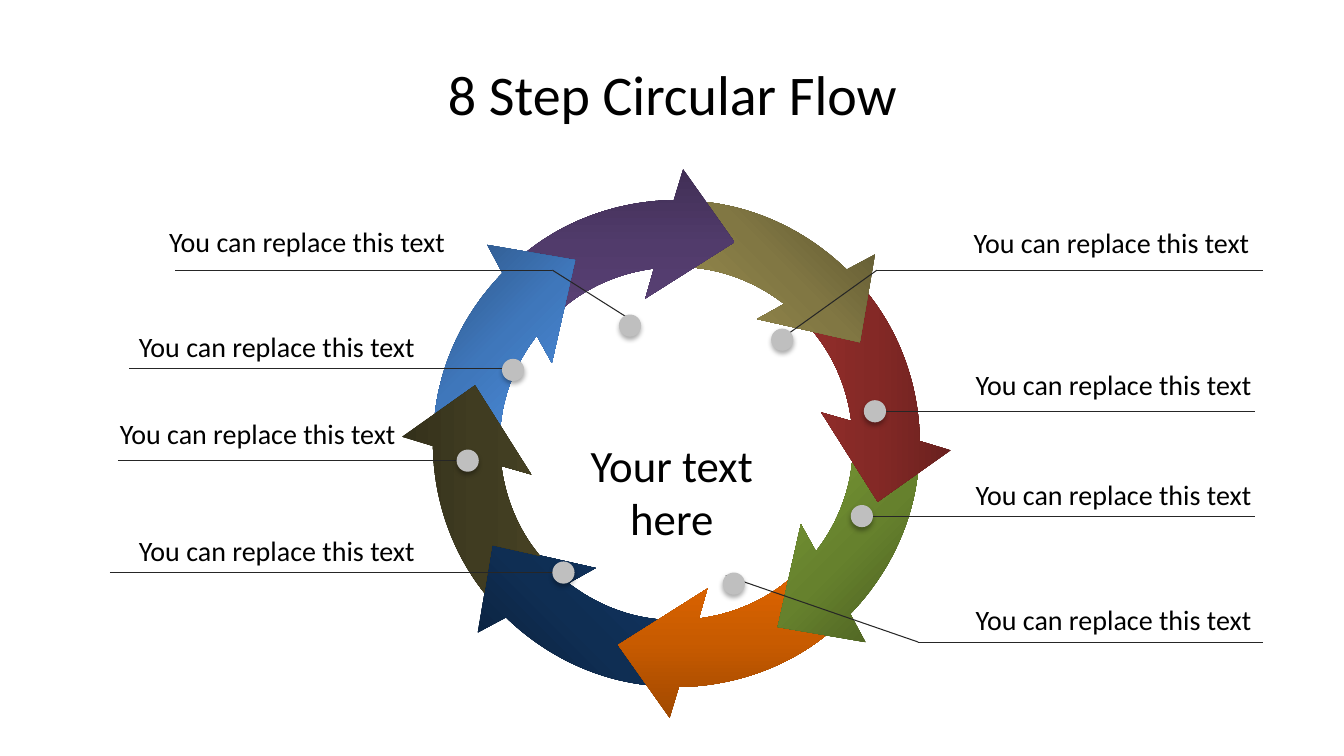
from itertools import pairwise
from math import cos, radians, sin

from lxml import etree
from pptx import Presentation
from pptx import util as u
from pptx.dml.color import RGBColor
from pptx.enum import shapes, text
from pptx.oxml import parse_xml
from pptx.oxml.ns import nsdecls, qn

PX = 9144  # one px is a hundredth of an inch
FONT = "Calibri"
COLORS = {"text": "000000", "line": "262626", "dot": "BFBFBF"}
LABEL = "You can replace this text"
LABEL_SIZE = (297, 44)
DOT = 22

# Rotation and gradient (edge, middle, inner) of each arrow, back to front
ARROWS = [
    (270, ("0B203B", "0F2E53", "123663")),
    (225, ("8D4000", "C85B00", "EE6B00")),
    (180, ("485B20", "66812D", "799936")),
    (135, ("5D1D1B", "842926", "9C302E")),
    (90, ("5A542F", "817743", "998D4F")),
    (45, ("39294B", "513B6B", "60467E")),
    (0, ("2D5484", "3F77BB", "4B8DDE")),
    (315, ("2D2A17", "403C21", "4C4727")),
]
ARROW_SIZE = (139, 180)
ARROW_OFFSET = (-170, -107)  # ring centre to centre of the unrotated arrow
ARROW_OUTLINE = [
    (52, 0), (139, 15), (116, 117), (101, 90),
    (81, 116), (68, 147), (65, 180),  # inner curve
    (39, 139), (0, 167),
    (6, 115), (30, 66), (67, 28),  # outer curve
]
CURVE_STARTS = (4, 9)  # outline index of the first control point of each curve

# Label corner, then leader points and dot corner relative to it
CALLOUTS = [
    ((956, 219), [(-178, 115), (-86, 49), (297, 49)], (-191, 107)),
    ((958, 360), [(-86, 48), (287, 48)], (-101, 37)),
    ((958, 469), [(-101, 43), (287, 43)], (-114, 32)),
    ((958, 593), [(-238, -22), (-47, 44), (295, 44)], (-241, -25)),
    ((128, 524), [(-19, 44), (431, 44)], (420, 33)),
    ((109, 408), [(8, 49), (344, 49)], (344, 38)),
    ((128, 322), [(0, 44), (383, 44)], (370, 34)),
    ((158, 218), [(477, 105), (390, 50), (16, 50)], (456, 94)),
]


def px(*lengths):
    return [u.Emu(round(length * PX)) for length in lengths]


def write(frame, words, size, align=text.PP_ALIGN.LEFT, wrap=True,
          anchor=text.MSO_ANCHOR.TOP):
    frame.word_wrap = wrap
    frame.vertical_anchor = anchor
    paragraph = frame.paragraphs[0]
    paragraph.alignment = align
    run = paragraph.add_run()
    run.text = words
    run.font.name = FONT
    run.font.size = u.Pt(size)
    run.font.color.rgb = RGBColor.from_string(COLORS["text"])


def bend(shape):
    """Turn each run of three control points into one cubic curve."""
    outline = next(shape._element.iter(qn("a:moveTo"))).getparent()
    segments = list(outline)
    for start in CURVE_STARTS:
        curve = etree.Element(qn("a:cubicBezTo"))
        segments[start].addprevious(curve)
        for segment in segments[start:start + 3]:
            curve.append(segment[0])
            outline.remove(segment)


def add_gradient(shape, colors):
    shape.fill.gradient()
    shape.fill.gradient_angle = 315
    stops = shape._element.spPr.find(qn("a:gradFill")).find(qn("a:gsLst"))
    for stop in list(stops):
        stops.remove(stop)
    for position, color in zip((0, 50000, 100000), colors):
        stop = etree.SubElement(stops, qn("a:gs"), pos=str(position))
        etree.SubElement(stop, qn("a:srgbClr"), val=color)


def add_arrow(group, center, rotation, colors):
    width, height = ARROW_SIZE
    left, top = center[0] - width / 2, center[1] - height / 2
    points = [px(left + x, top + y) for x, y in ARROW_OUTLINE]
    builder = group.shapes.build_freeform(*points[0])
    builder.add_line_segments(points[1:], close=True)
    arrow = builder.convert_to_shape()
    bend(arrow)
    arrow.rotation = rotation
    arrow.shadow.inherit = False
    arrow.line.fill.background()
    add_gradient(arrow, colors)


def add_ring(slide, box):
    left, top, width, height = box
    x, y = ARROW_OFFSET
    group = slide.shapes.add_group_shape()
    for rotation, colors in ARROWS:
        c, s = cos(radians(rotation)), sin(radians(rotation))
        center = (left + width / 2 + x * c - y * s,
                  top + height / 2 + x * s + y * c)
        add_arrow(group, center, rotation, colors)


def add_line(group, start, end):
    line = group.shapes.add_connector(
        shapes.MSO_CONNECTOR.STRAIGHT, *px(*start, *end))
    line.line.color.rgb = RGBColor.from_string(COLORS["line"])
    line.line.width = u.Pt(0.75)
    etree.SubElement(line._element.spPr, qn("a:effectLst"))


def add_dot(group, left, top):
    dot = group.shapes.add_shape(shapes.MSO_SHAPE.OVAL, *px(left, top, DOT, DOT))
    dot.fill.solid()
    dot.fill.fore_color.rgb = RGBColor.from_string(COLORS["dot"])
    dot.line.fill.background()
    dot._element.spPr.append(parse_xml(
        f'<a:effectLst {nsdecls("a")}><a:outerShdw blurRad="44450" dist="27940" '
        'dir="5400000" algn="ctr"><a:srgbClr val="000000"><a:alpha val="32000"/>'
        '</a:srgbClr></a:outerShdw></a:effectLst>'))


def add_leader(slide, corner, points, dot):
    left, top = corner
    group = slide.shapes.add_group_shape()
    for start, end in pairwise((left + x, top + y) for x, y in points):
        add_line(group, start, end)
    add_dot(group, left + dot[0], top + dot[1])


def add_label(slide, box):
    label = slide.shapes.add_textbox(*px(*box))
    write(label.text_frame, LABEL, 20, wrap=False)


def add_title(slide, box):
    title = slide.shapes.title
    title.left, title.top, title.width, title.height = px(*box)
    write(title.text_frame, "8 Step Circular Flow", 40,
          align=text.PP_ALIGN.CENTER, anchor=text.MSO_ANCHOR.MIDDLE)


def add_center_text(slide, box):
    center_text = slide.shapes.add_textbox(*px(*box))
    write(center_text.text_frame, "Your text here", 32,
          align=text.PP_ALIGN.CENTER)


def main():
    presentation = Presentation()
    presentation.slide_width, presentation.slide_height = px(1333.33, 750)
    slide = presentation.slides.add_slide(presentation.slide_layouts[5])

    add_title(slide, (67, 30, 1200, 125))
    add_ring(slide, (400, 169, 542, 542))
    # Leaders with their dots, then the labels above them
    for corner, points, dot in CALLOUTS:
        add_leader(slide, corner, points, dot)
    for corner, _, _ in CALLOUTS:
        add_label(slide, (*corner, *LABEL_SIZE))
    add_center_text(slide, (536, 429, 261, 64))

    presentation.save("out.pptx")


if __name__ == "__main__":
    main()
